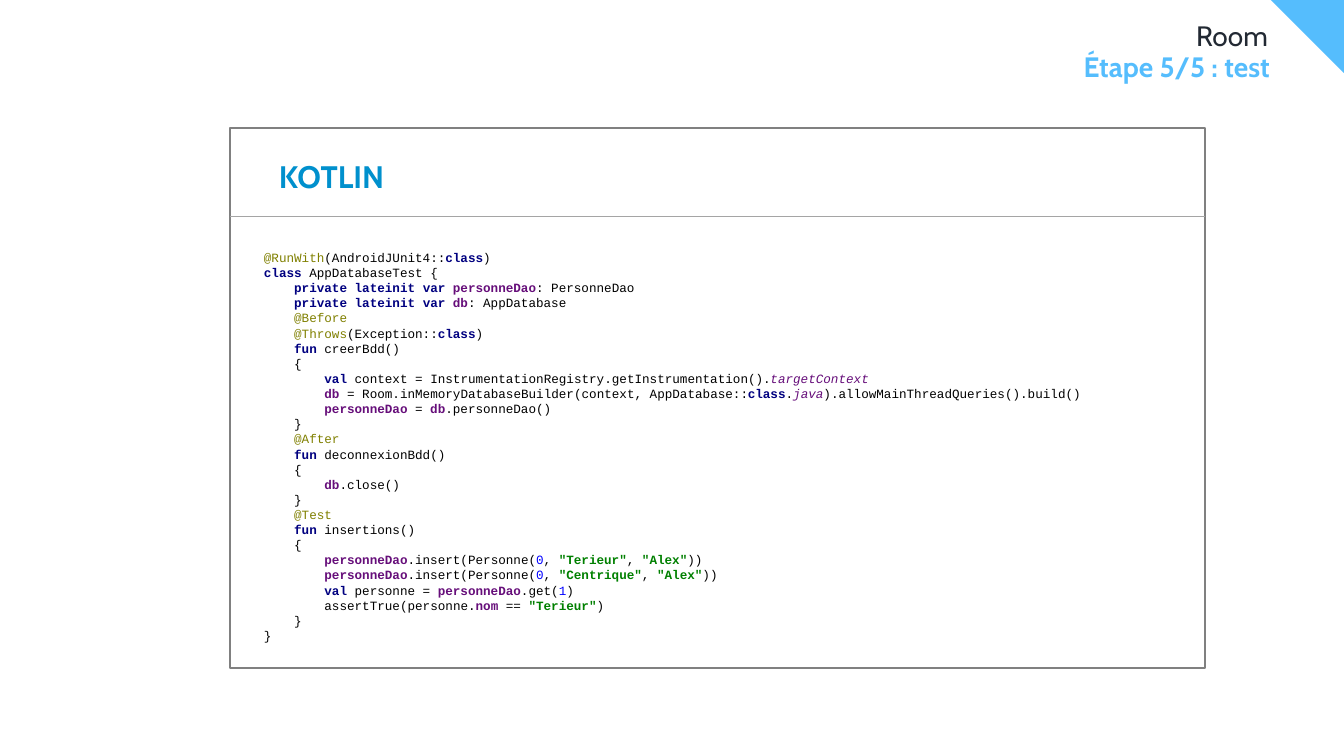
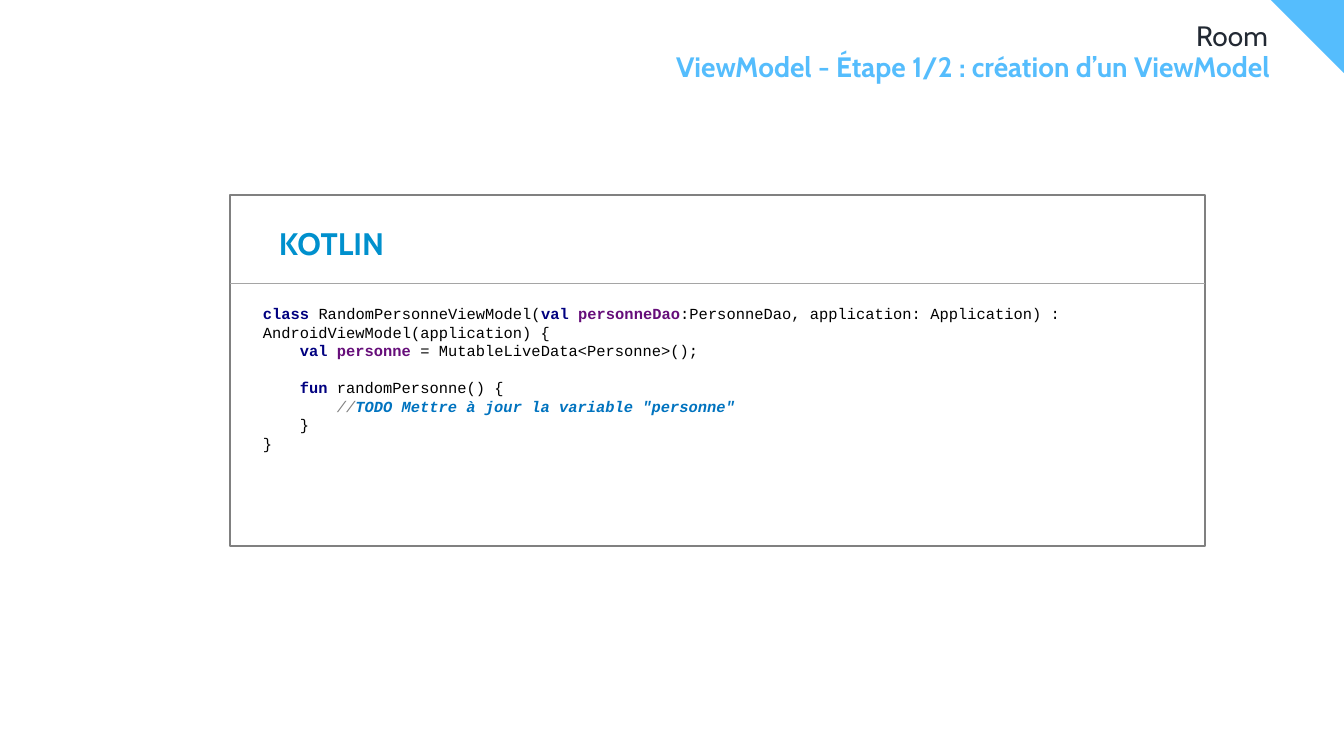
from pptx import Presentation
from pptx.dml.color import RGBColor
from pptx.enum.shapes import MSO_CONNECTOR, MSO_SHAPE
from pptx.enum.text import MSO_ANCHOR, PP_ALIGN
from pptx.oxml.ns import qn
from pptx.util import Emu, Pt
from lxml.etree import SubElement

PX_PER_INCH = 100.8
SLIDE_WIDTH, SLIDE_HEIGHT = 1344, 756
CORNER_SIZE = 73
RULE_OFFSET = 88

WHITE = RGBColor(0xFF, 0xFF, 0xFF)
BLACK = RGBColor(0x00, 0x00, 0x00)
SKY = RGBColor(0x55, 0xBD, 0xFD)
INK = RGBColor(0x22, 0x29, 0x33)
BLUE = RGBColor(0x00, 0x90, 0xCD)
FRAME_GREY = RGBColor(0x80, 0x80, 0x80)
RULE_GREY = RGBColor(0xA5, 0xA5, 0xA5)
NAVY = RGBColor(0x00, 0x00, 0x80)
PURPLE = RGBColor(0x66, 0x0E, 0x7A)
OLIVE = RGBColor(0x80, 0x80, 0x00)
GREEN = RGBColor(0x00, 0x80, 0x00)
NUMBER_BLUE = RGBColor(0x00, 0x00, 0xFF)
TODO_BLUE = RGBColor(0x00, 0x73, 0xBF)

HEADING_FONT = "Cabin"
CODE_FONT = "Courier New"
CODE_CHAR_WIDTH = 0.6
CODE_LINE_HEIGHT = 1.2

TOKEN_STYLES = {
    "plain": (BLACK, False, False),
    "keyword": (NAVY, True, False),
    "member": (PURPLE, True, False),
    "property": (PURPLE, False, True),
    "annotation": (OLIVE, False, False),
    "string": (GREEN, True, False),
    "number": (NUMBER_BLUE, False, False),
    "comment": (FRAME_GREY, False, True),
    "todo": (TODO_BLUE, True, True),
}


def keyword(text):
    return text, "keyword"


def member(text):
    return text, "member"


def annotation(text):
    return text, "annotation"


def string(text):
    return text, "string"


def number(text):
    return text, "number"


def insertion(last_name):
    return (2, member("personneDao"), ".insert(Personne(", number("0"), ", ",
            string(f'"{last_name}"'), ", ", string('"Alex"'), "))")


TEST_CODE = [
    (0, annotation("@RunWith"), "(AndroidJUnit4::", keyword("class"), ")"),
    (0, keyword("class "), "AppDatabaseTest {"),
    (1, keyword("private lateinit var "), member("personneDao"), ": PersonneDao"),
    (1, keyword("private lateinit var "), member("db"), ": AppDatabase"),
    (1, annotation("@Before")),
    (1, annotation("@Throws"), "(Exception::", keyword("class"), ")"),
    (1, keyword("fun "), "creerBdd()"),
    (1, "{"),
    (2, keyword("val "), "context = InstrumentationRegistry.getInstrumentation().",
     ("targetContext", "property")),
    (2, member("db "), "= Room.inMemoryDatabaseBuilder(context, AppDatabase::",
     keyword("class"), ".", ("java", "property"), ").allowMainThreadQueries().build()"),
    (2, member("personneDao "), "= ", member("db"), ".personneDao()"),
    (1, "}"),
    (1, annotation("@After")),
    (1, keyword("fun "), "deconnexionBdd()"),
    (1, "{"),
    (2, member("db"), ".close()"),
    (1, "}"),
    (1, annotation("@Test")),
    (1, keyword("fun "), "insertions()"),
    (1, "{"),
    insertion("Terieur"),
    insertion("Centrique"),
    (2, keyword("val "), "personne = ", member("personneDao"), ".get(", number("1"), ")"),
    (2, "assertTrue(personne.", member("nom "), "== ", string('"Terieur"'), ")"),
    (1, "}"),
    (0, "}"),
]

VIEW_MODEL_CODE = [
    (0, keyword("class "), "RandomPersonneViewModel(", keyword("val "), member("personneDao"),
     ":PersonneDao, application: Application) : AndroidViewModel(application) {"),
    (1, keyword("val "), member("personne "), "= MutableLiveData<Personne>();"),
    (1, keyword("fun "), "randomPersonne() {"),
    (2, ("//", "comment"), ("TODO Mettre à jour la variable \"personne\"", "todo")),
    (1, "}"),
    (0, "}"),
]


def px(length):
    return Emu(round(length * 914400 / PX_PER_INCH))


def box_px(*lengths):
    return [px(length) for length in lengths]


def add_text(paragraph, text, *, size, color, font=HEADING_FONT, bold=False, italic=False):
    run = paragraph.add_run()
    run.text = text
    run.font.name = font
    run.font.size = Pt(size)
    run.font.bold = bold
    run.font.italic = italic
    run.font.color.rgb = color


def add_frame(slide, box, *, anchor=MSO_ANCHOR.TOP, inset=True):
    frame = slide.shapes.add_textbox(*box_px(*box)).text_frame
    frame.word_wrap = True
    frame.vertical_anchor = anchor
    if not inset:
        frame.margin_left = frame.margin_right = frame.margin_top = frame.margin_bottom = 0
    return frame


def add_heading(slide, box, text, color, bold):
    paragraph = add_frame(slide, box, inset=False).paragraphs[0]
    paragraph.alignment = PP_ALIGN.RIGHT
    paragraph.line_spacing = 0.9
    add_text(paragraph, text, size=20, color=color, bold=bold)


def add_corner(slide):
    left = SLIDE_WIDTH - CORNER_SIZE
    outline = slide.shapes.build_freeform(px(left), 0)
    outline.add_line_segments(
        [(px(SLIDE_WIDTH), 0), (px(SLIDE_WIDTH), px(CORNER_SIZE))], close=True)
    corner = outline.convert_to_shape()
    corner.shadow.inherit = False
    corner.fill.solid()
    corner.fill.fore_color.rgb = SKY
    corner.line.fill.background()


def add_panel(slide, box):
    left, top, width, height = box
    panel = slide.shapes.add_shape(MSO_SHAPE.RECTANGLE, *box_px(*box))
    panel.shadow.inherit = False
    panel.fill.solid()
    panel.fill.fore_color.rgb = WHITE
    panel.line.color.rgb = FRAME_GREY
    panel.line.width = Pt(1)

    rule_y = top + RULE_OFFSET
    rule = slide.shapes.add_connector(
        MSO_CONNECTOR.STRAIGHT, *box_px(left, rule_y, left + width, rule_y))
    rule.line.color.rgb = RULE_GREY
    rule.line.width = Pt(0.5)
    SubElement(rule._element.spPr, qn("a:effectLst"))

    language = add_frame(slide, (left + 39, top + 2, 138, 70), anchor=MSO_ANCHOR.BOTTOM)
    add_text(language.paragraphs[0], "KOTLIN", size=22.2, color=BLUE, bold=True)


def add_code(slide, box, lines, size, gap_before=None):
    frame = add_frame(slide, box, anchor=MSO_ANCHOR.MIDDLE)
    line_height = Pt(size * CODE_LINE_HEIGHT)
    indent_width = Pt(4 * size * CODE_CHAR_WIDTH)
    for index, (level, *tokens) in enumerate(lines):
        paragraph = frame.add_paragraph() if index else frame.paragraphs[0]
        paragraph.line_spacing = line_height
        if index == gap_before:
            paragraph.space_before = line_height
        properties = paragraph._p.get_or_add_pPr()
        properties.set("marL", str(level * indent_width))
        properties.set("indent", "0")
        for token in tokens:
            text, style = (token, "plain") if isinstance(token, str) else token
            color, bold, italic = TOKEN_STYLES[style]
            add_text(paragraph, text, size=size, color=color, font=CODE_FONT,
                     bold=bold, italic=italic)


def add_code_slide(deck, step, panel, code_box, lines, size, gap_before=None):
    slide = deck.slides.add_slide(deck.slide_layouts[6])
    add_corner(slide)
    add_heading(slide, (37, 22, 1231, 31), "Room", INK, False)
    add_heading(slide, (37, 53, 1233, 43), step, SKY, True)
    add_panel(slide, panel)
    left, top, width, height = code_box
    add_code(slide, (panel[0] + left, panel[1] + top, width, height), lines, size, gap_before)


def main():
    deck = Presentation()
    deck.slide_width, deck.slide_height = box_px(SLIDE_WIDTH, SLIDE_HEIGHT)
    add_code_slide(deck, "Étape 5/5 : test", (230, 128, 975, 540),
                   (24, 115, 935, 407), TEST_CODE, 9)
    add_code_slide(deck, "ViewModel - Étape 1/2 : création d’un ViewModel",
                   (230, 195, 975, 351), (23, 104, 933, 159), VIEW_MODEL_CODE, 11,
                   gap_before=2)
    deck.save("out.pptx")


if __name__ == "__main__":
    main()
